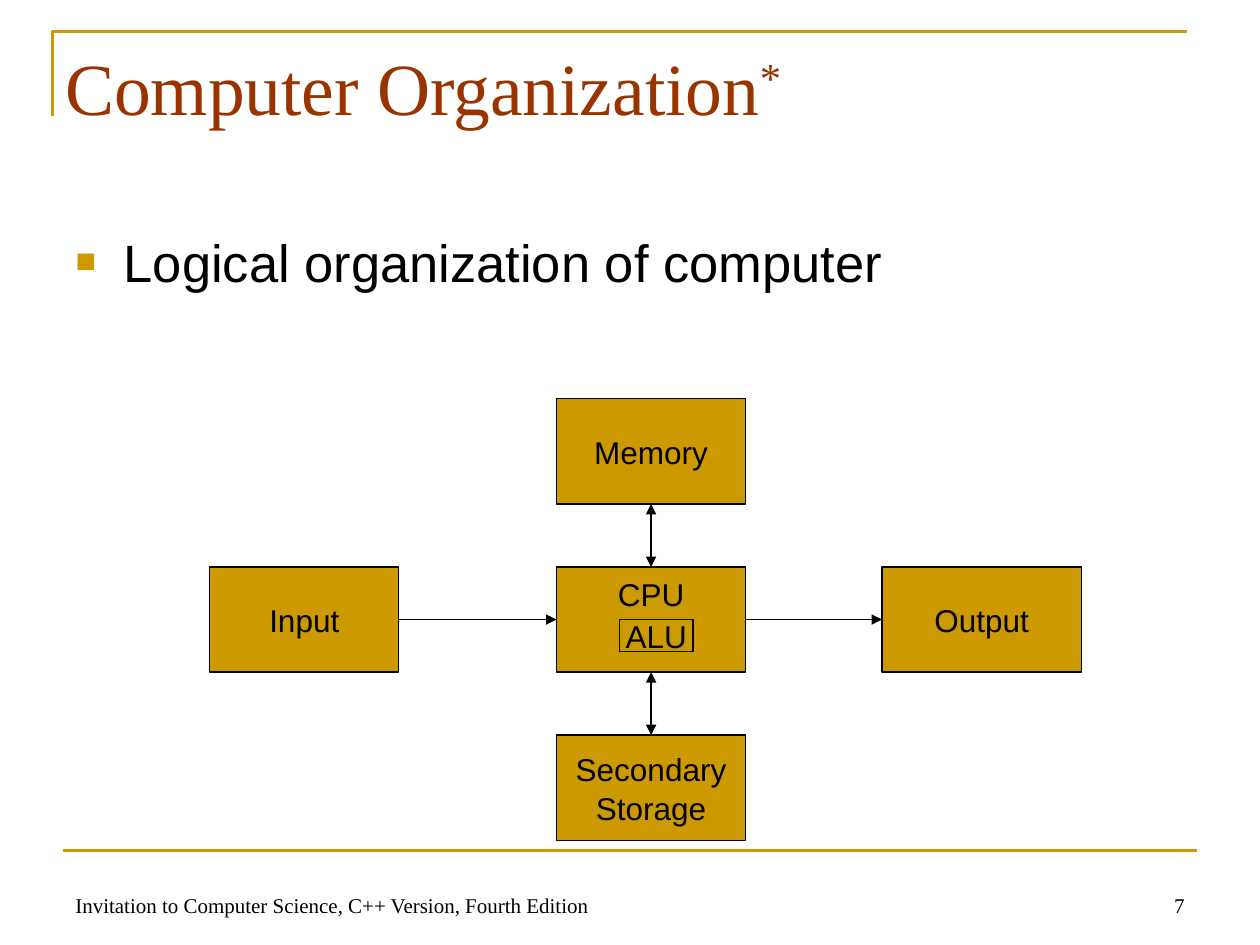
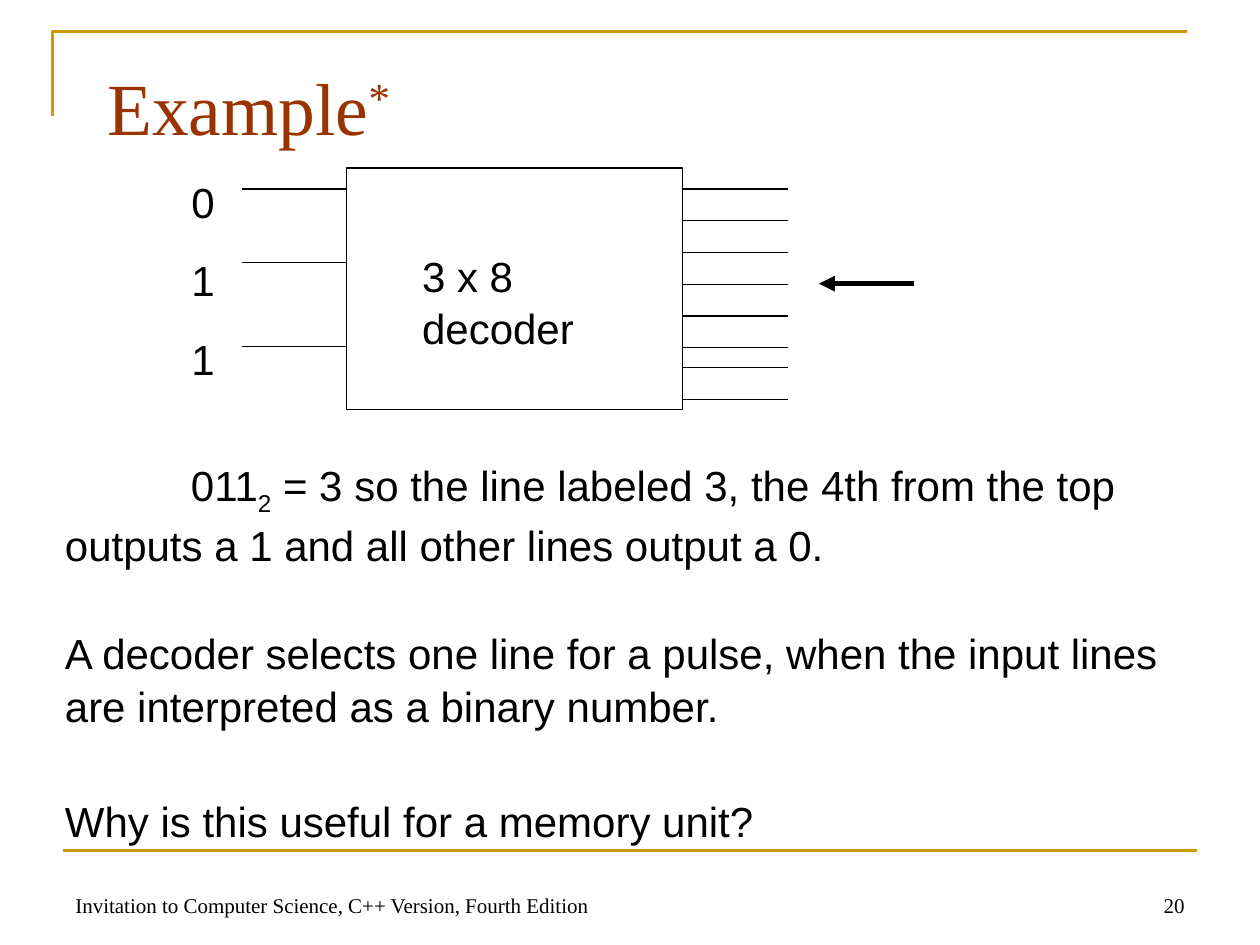
from dataclasses import dataclass

from pptx import Presentation
from pptx.dml.color import RGBColor
from pptx.enum.shapes import MSO_CONNECTOR as Connector, MSO_SHAPE as Preset
from pptx.enum.text import MSO_ANCHOR as Anchor, MSO_AUTO_SIZE as AutoSize, PP_ALIGN as Align
from pptx.oxml.ns import qn
from pptx.util import Cm, Pt
from lxml.etree import SubElement


@dataclass(frozen=True)
class Theme:
    accent: RGBColor = RGBColor(0xCC, 0x99, 0x00)
    title: RGBColor = RGBColor(0x99, 0x33, 0x00)
    ink: RGBColor = RGBColor(0x00, 0x00, 0x00)
    paper: RGBColor = RGBColor(0xFF, 0xFF, 0xFF)
    serif: str = "Times New Roman"
    sans: str = "Arial"
    title_size: int = 42
    bullet_size: int = 30
    text_size: int = 24
    box_size: int = 18
    footer_size: int = 12
    line_spacing: float = 1.04
    rule_width: float = 1.5
    line_width: float = 0.75
    arrow_width: float = 3


THEME = Theme()
FOOTER = "Invitation to Computer Science, C++ Version, Fourth Edition"
TOP, LEFT, BOTTOM, RIGHT = range(4)


def place(shape, left, top, width, height):
    shape.left, shape.top = Cm(left), Cm(top)
    shape.width, shape.height = Cm(width), Cm(height)


def add_run(paragraph, text, size, color=THEME.ink, font=THEME.sans, baseline=0):
    """Add a run; baseline is a percentage, above zero for superscript."""
    run = paragraph.add_run()
    run.text = text
    run.font.size = Pt(size)
    run.font.name = font
    run.font.color.rgb = color
    if baseline:
        run.font._element.set("baseline", str(baseline * 1000))


def write_lines(frame, lines, size, align=Align.LEFT, font=THEME.sans, gap=0):
    for index, line in enumerate(lines):
        paragraph = frame.add_paragraph() if index else frame.paragraphs[0]
        paragraph.alignment = align
        paragraph.line_spacing = THEME.line_spacing
        if index:
            paragraph.space_before = Pt(gap)
        add_run(paragraph, line, size, font=font)


def add_text_box(slide, area, lines=(), size=THEME.text_size, anchor=Anchor.TOP, **style):
    frame = slide.shapes.add_textbox(*map(Cm, area)).text_frame
    frame.word_wrap = True
    frame.vertical_anchor = anchor
    write_lines(frame, lines, size, **style)
    return frame


def add_line(slide, start, end, color=THEME.ink, width=THEME.line_width, arrows=()):
    """Draw a straight line; arrows names the ends with heads: headEnd, tailEnd."""
    line = slide.shapes.add_connector(Connector.STRAIGHT, *map(Cm, start + end))
    line.line.color.rgb = color
    line.line.width = Pt(width)
    properties = line._element.spPr
    outline = properties.find(qn("a:ln"))
    for arrow in arrows:
        SubElement(outline, qn(f"a:{arrow}"), type="triangle")
    SubElement(properties, qn("a:effectLst"))
    return line


def join(slide, source, source_side, target, target_side, arrows=("tailEnd",)):
    line = add_line(slide, (0, 0), (0, 0), arrows=arrows)
    line.begin_connect(source, source_side)
    line.end_connect(target, target_side)


def add_box(slide, area, lines=(), fill=THEME.accent, anchor=Anchor.MIDDLE):
    box = slide.shapes.add_shape(Preset.RECTANGLE, *map(Cm, area))
    box.shadow.inherit = False
    box.fill.solid()
    box.fill.fore_color.rgb = fill
    box.line.color.rgb = THEME.ink
    box.line.width = Pt(THEME.line_width)
    box.text_frame.word_wrap = False
    box.text_frame.vertical_anchor = anchor
    write_lines(box.text_frame, lines, THEME.box_size, align=Align.CENTER)
    return box


def add_frame(slide, number):
    """Draw the corner rule, the bottom rule and the footer."""
    builder = slide.shapes.build_freeform(Cm(1.06), Cm(2.33))
    builder.add_line_segments(
        [(Cm(1.06), Cm(0.64)), (Cm(23.92), Cm(0.64))], close=False)
    corner = builder.convert_to_shape()
    corner.shadow.inherit = False
    corner.fill.background()
    corner.line.color.rgb = THEME.accent
    corner.line.width = Pt(THEME.rule_width)
    add_line(slide, (1.27, 17.15), (24.13, 17.15), THEME.accent, THEME.rule_width)
    footer_style = dict(size=THEME.footer_size, anchor=Anchor.BOTTOM, font=THEME.serif)
    add_text_box(slide, (1.27, 17.36, 15.45, 1.27), [FOOTER], **footer_style)
    add_text_box(slide, (18.2, 17.36, 5.93, 1.27), [str(number)],
                 align=Align.RIGHT, **footer_style)


def set_title(slide, text, area):
    """Fill the title placeholder and mark it with a raised asterisk."""
    title = slide.shapes.title
    place(title, *area)
    frame = title.text_frame
    frame.auto_size = AutoSize.NONE
    frame.vertical_anchor = Anchor.TOP
    paragraph = frame.paragraphs[0]
    paragraph.alignment = Align.LEFT
    paragraph.line_spacing = THEME.line_spacing
    add_run(paragraph, text, THEME.title_size, THEME.title, THEME.serif)
    add_run(paragraph, "*", THEME.title_size, THEME.title, THEME.serif, baseline=30)


def set_bullet(slide, text, area):
    body = slide.placeholders[1]
    place(body, *area)
    frame = body.text_frame
    frame.auto_size = AutoSize.NONE
    paragraph = frame.paragraphs[0]
    properties = paragraph._p.get_or_add_pPr()
    properties.set("marL", str(Cm(0.97)))
    properties.set("indent", str(-Cm(0.97)))
    bullet_color = SubElement(properties, qn("a:buClr"))
    SubElement(bullet_color, qn("a:srgbClr"), val=str(THEME.accent))
    SubElement(properties, qn("a:buSzPct"), val="65000")
    SubElement(properties, qn("a:buFont"), typeface=THEME.sans)
    SubElement(properties, qn("a:buChar"), char="■")
    paragraph.space_before = Pt(0)
    paragraph.line_spacing = THEME.line_spacing
    add_run(paragraph, text, THEME.bullet_size)


def add_slide(presentation, layout_name, number):
    layout = presentation.slide_layouts.get_by_name(layout_name)
    slide = presentation.slides.add_slide(layout)
    add_frame(slide, number)
    return slide


def build_organization(presentation):
    slide = add_slide(presentation, "Title and Content", 7)
    set_title(slide, "Computer Organization", (1.06, 0.64, 22.86, 3.18))
    set_bullet(slide, "Logical organization of computer", (1.27, 4.45, 22.86, 2.12))

    width, height, center_left = 3.81, 2.12, 11.22
    memory_top, cpu_top, storage_top = (8.04 + 3.39 * row for row in range(3))
    cpu = add_box(slide, (center_left, cpu_top, width, height), ["CPU"], anchor=Anchor.TOP)
    input_box = add_box(slide, (4.23, cpu_top, width, height), ["Input"])
    output_box = add_box(slide, (17.78, cpu_top, 4.02, height), ["Output"])
    memory = add_box(slide, (center_left, memory_top, width, height), ["Memory"])
    storage = add_box(slide, (center_left, storage_top, width, height),
                      ["Secondary", "Storage"])
    add_box(slide, (12.49, 12.49, 1.48, 0.64), ["ALU"])

    both_ends = ("headEnd", "tailEnd")
    join(slide, input_box, RIGHT, cpu, LEFT)
    join(slide, cpu, RIGHT, output_box, LEFT)
    join(slide, memory, BOTTOM, cpu, TOP, both_ends)
    join(slide, cpu, BOTTOM, storage, TOP, both_ends)


def build_decoder_example(presentation):
    slide = add_slide(presentation, "Title Only", 20)
    set_title(slide, "Example", (1.91, 1.06, 20.75, 2.03))

    left, right, wire = 6.99, 13.76, 2.12
    add_box(slide, (left, 3.39, right - left, 4.87), fill=THEME.paper)
    for height in (3.81, 5.29, 6.99):
        add_line(slide, (left - wire, height), (left, height))
    for first, count in ((3.81, 6), (7.41, 2)):
        for index in range(count):
            height = first + 0.64 * index
            add_line(slide, (right, height), (right + wire, height))
    add_line(slide, (18.42, 5.72), (16.51, 5.72),
             width=THEME.arrow_width, arrows=("tailEnd",))

    add_text_box(slide, (3.61, 3.39, 1.27, 4.37), ["0", "1", "1"], gap=15)
    add_text_box(slide, (8.26, 4.88, 4.45, 2.29), ["3 x 8 decoder"])

    explanation = add_text_box(slide, (1.06, 9.1, 23.7, 2.44)).paragraphs[0]
    explanation.line_spacing = THEME.line_spacing
    explanation._p.get_or_add_pPr().set("indent", str(Cm(2.54)))
    add_run(explanation, "011", THEME.text_size)
    add_run(explanation, "2", THEME.text_size, baseline=-25)
    add_run(explanation, " = 3 so the line labeled 3, the 4th from the top "
            "outputs a 1 and all other lines output a 0.", THEME.text_size)

    add_text_box(slide, (1.06, 12.49, 23.06, 2.29),
                 ["A decoder selects one line for a pulse, when the input lines "
                  "are interpreted as a binary number."])
    add_text_box(slide, (1.06, 15.88, 21.39, 1.27),
                 ["Why is this useful for a memory unit?"])


def main():
    presentation = Presentation()
    presentation.slide_width, presentation.slide_height = Cm(25.4), Cm(19.05)
    build_organization(presentation)
    build_decoder_example(presentation)
    presentation.save("out.pptx")


if __name__ == "__main__":
    main()
